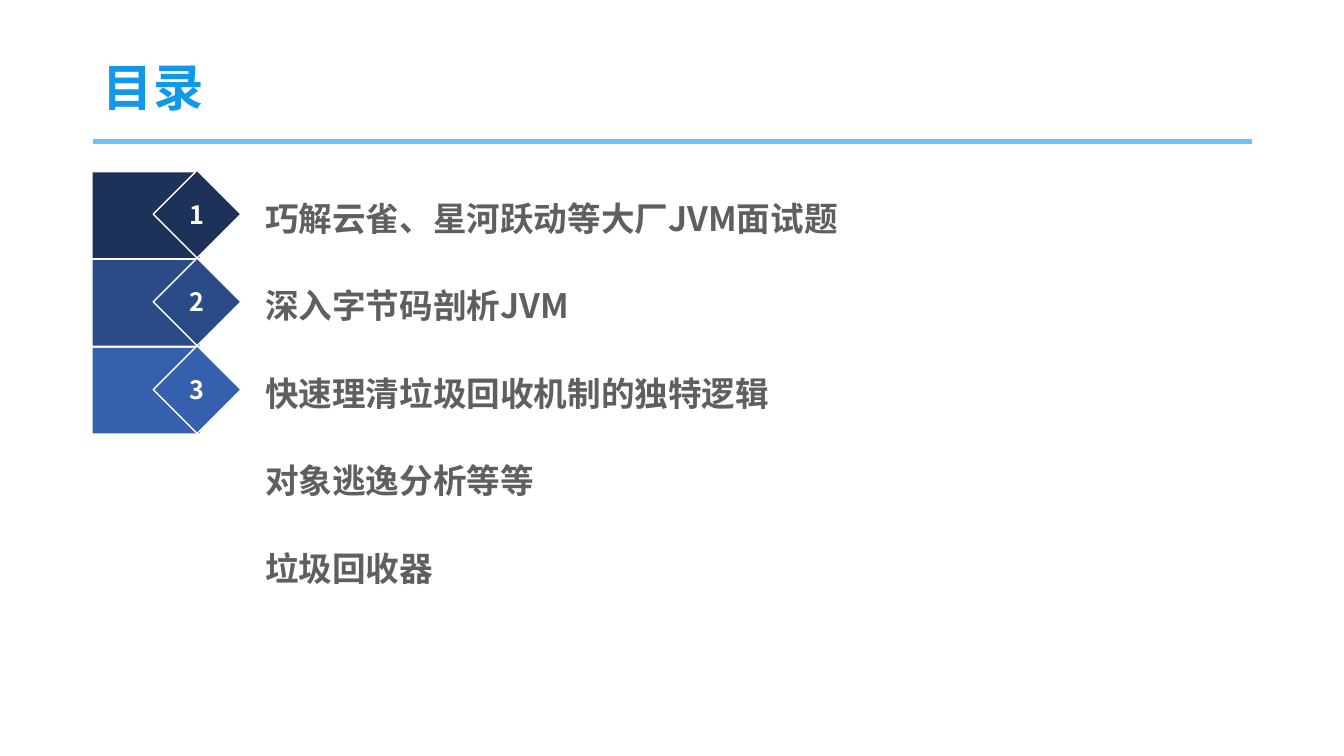
import pptx
import pptx.util
import pptx.dml.color
import pptx.enum.shapes
import pptx.enum.text
import lxml.etree
from pptx.oxml.ns import qn

RGB = pptx.dml.color.RGBColor
Inches = pptx.util.Inches
Pt = pptx.util.Pt
SHAPE = pptx.enum.shapes.MSO_SHAPE
ANCHOR = pptx.enum.text.MSO_ANCHOR
ALIGN = pptx.enum.text.PP_ALIGN

HEADING = "目录"
TOPICS = [
    "巧解云雀、星河跃动等大厂JVM面试题",
    "深入字节码剖析JVM",
    "快速理清垃圾回收机制的独特逻辑",
    "对象逃逸分析等等",
    "垃圾回收器",
]
FONT = "Noto Sans CJK SC"
WHITE = RGB(0xFF, 0xFF, 0xFF)
HEADING_BLUE = RGB(0x11, 0x98, 0xEB)
RULE_BLUE = RGB(0x6F, 0xC2, 0xF5)
TOPIC_GREY = RGB(0x5F, 0x5F, 0x5F)
MARKER_BLUES = [RGB(0x1D, 0x32, 0x59), RGB(0x2A, 0x4B, 0x86), RGB(0x35, 0x60, 0xAD)]

WIDTH, HEIGHT = 13.33, 7.5
MARGIN = 0.92
CONTENT_WIDTH = 11.5
RULE_Y = 1.4
ROW_TOP, ROW_PITCH = 1.69, 0.87
BAR_WIDTH, BAR_HEIGHT = 1.06, 0.85
DIAMOND_LEFT = 1.52
TOPICS_LEFT, TOPICS_TOP = 2.53, 1.83

deck = pptx.Presentation()
deck.slide_width, deck.slide_height = Inches(WIDTH), Inches(HEIGHT)
slide = deck.slides.add_slide(deck.slide_layouts[6])


def style(paragraph, size, color):
    for run in paragraph.runs:
        run.font.size, run.font.bold, run.font.name = Pt(size), True, FONT
        run.font.color.rgb = color
        east_asian = lxml.etree.SubElement(run.font._element, qn("a:ea"))
        east_asian.set("typeface", FONT)


def add_text(left, top, width, height, lines, size, color, spacing, before=0):
    box = slide.shapes.add_textbox(*map(Inches, (left, top, width, height)))
    box.text_frame.word_wrap = True
    box.text_frame.text = "\n".join(lines)
    for paragraph in box.text_frame.paragraphs:
        paragraph.line_spacing = spacing
        paragraph.space_before = Pt(before)
        style(paragraph, size, color)
    return box


def add_block(kind, left, top, width, height, color):
    block = slide.shapes.add_shape(kind, *map(Inches, (left, top, width, height)))
    block.shadow.inherit = False
    block.fill.solid()
    block.fill.fore_color.rgb = color
    block.line.fill.background()
    return block


rule = slide.shapes.add_connector(
    pptx.enum.shapes.MSO_CONNECTOR.STRAIGHT,
    *map(Inches, (MARGIN, RULE_Y, MARGIN + CONTENT_WIDTH, RULE_Y)))
rule.line.color.rgb = RULE_BLUE
rule.line.width = Pt(3.5)
lxml.etree.SubElement(rule._element.spPr, qn("a:effectLst"))

heading = add_text(MARGIN, RULE_Y - 1, CONTENT_WIDTH, 1, [HEADING], 36, HEADING_BLUE, 0.9)
heading.text_frame.vertical_anchor = ANCHOR.MIDDLE
add_text(TOPICS_LEFT, TOPICS_TOP, 9.81, 4.93, TOPICS, 24, TOPIC_GREY, 1.2, 28)

for row, blue in enumerate(MARKER_BLUES):
    top = ROW_TOP + row * ROW_PITCH
    add_block(SHAPE.RECTANGLE, MARGIN, top + ROW_PITCH - BAR_HEIGHT,
              BAR_WIDTH, BAR_HEIGHT, blue)
    diamond = add_block(SHAPE.DIAMOND, DIAMOND_LEFT, top, ROW_PITCH, ROW_PITCH, blue)
    diamond.line.color.rgb = WHITE
    diamond.line.width = Pt(1)
    frame = diamond.text_frame
    frame.margin_left = frame.margin_right = frame.margin_top = frame.margin_bottom = 0
    frame.vertical_anchor = ANCHOR.MIDDLE
    frame.text = str(row + 1)
    number = frame.paragraphs[0]
    number.alignment = ALIGN.CENTER
    style(number, 18, WHITE)

deck.save("out.pptx")
